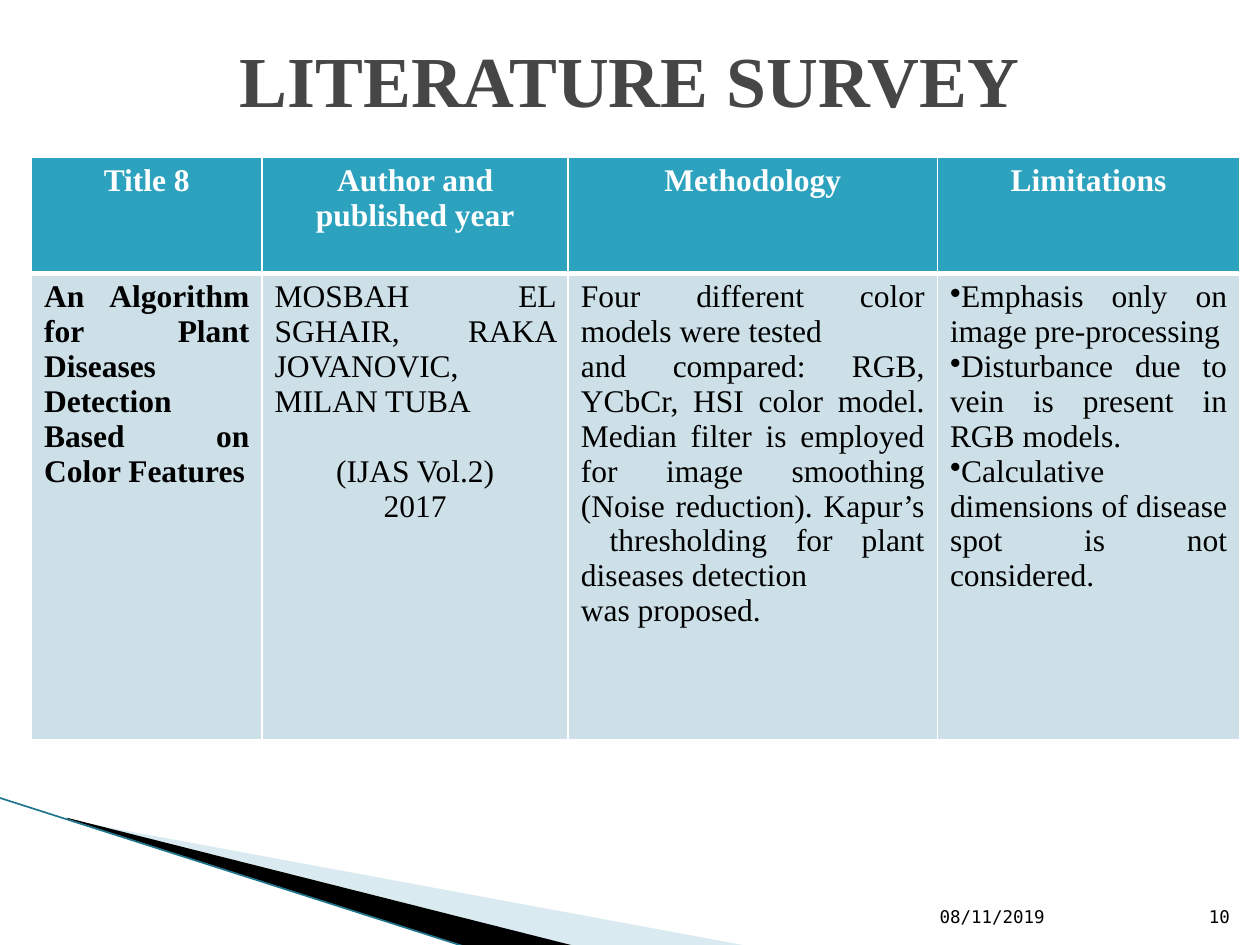
from dataclasses import dataclass

from lxml import etree
from pptx import Presentation
from pptx import util as u
from pptx.dml.color import RGBColor
from pptx.enum import shapes, text
from pptx.oxml import ns

ALIGN = text.PP_ALIGN
ANCHOR = text.MSO_ANCHOR


@dataclass(frozen=True)
class Theme:
    """Colours, fonts and type sizes of the slide."""

    white: str = "FFFFFF"
    black: str = "000000"
    heading: str = "464646"
    header_fill: str = "2DA2BF"
    body_fill: str = "CDE0E8"
    wedge: str = "A0CBDC"
    edge: str = "1F768C"
    serif: str = "Times New Roman"
    mono: str = "DejaVu Sans Mono"
    title_size: int = 41
    table_size: int = 18
    footer_size: int = 10


THEME = Theme()
HEADERS = ["Title 8", "Author and published year", "Methodology", "Limitations"]
COLUMN_WIDTHS = [1.83, 2.43, 2.93, 2.4]
ROW_HEIGHTS = [0.92, 3.7]
PAPER_TITLE = ["An Algorithm for Plant Diseases Detection", "Based on Color Features"]
AUTHORS = ["MOSBAH EL SGHAIR, RAKA JOVANOVIC, MILAN TUBA", "(IJAS Vol.2)", "2017"]
METHODOLOGY = [
    "Four different color models were tested",
    "and compared: RGB, YCbCr, HSI color model. Median filter is employed for image "
    "smoothing (Noise reduction). Kapur’s  thresholding for plant diseases detection",
    "was proposed.",
]
LIMITATIONS = [
    "Emphasis only on image pre-processing",
    "Disturbance due to vein is present in RGB models.",
    "Calculative dimensions of disease spot is not considered.",
]


def write(text_frame, lines, size, font, color, align, bold=False):
    """Fill a text frame with one paragraph per line in a single style."""
    text_frame.text = "\n".join(lines)
    for paragraph in text_frame.paragraphs:
        paragraph.alignment = align
        for run in paragraph.runs:
            run.font.size = u.Pt(size)
            run.font.name = font
            run.font.bold = bold
            run.font.color.rgb = RGBColor.from_string(color)


def add_label(slide, box, line, size, font, color, align, anchor, bold=False):
    """Add a wrapped one-line text box."""
    shape = slide.shapes.add_textbox(*map(u.Inches, box))
    shape.text_frame.word_wrap = True
    shape.text_frame.vertical_anchor = anchor
    write(shape.text_frame, [line], size, font, color, align, bold)


def add_wedge(slide, points, color, opacity=100):
    """Add a filled polygon without an outline."""
    start, *rest = [(u.Inches(x), u.Inches(y)) for x, y in points]
    builder = slide.shapes.build_freeform(*start)
    builder.add_line_segments(rest)
    shape = builder.convert_to_shape()
    shape.shadow.inherit = False
    shape.line.fill.background()
    shape.fill.solid()
    shape.fill.fore_color.rgb = RGBColor.from_string(color)
    if opacity < 100:
        for node in shape.element.spPr.iter(ns.qn("a:srgbClr")):
            etree.SubElement(node, ns.qn("a:alpha"), val=str(opacity * 1000))


def add_edge(slide, start, end, color, width):
    """Add a straight line without a shadow."""
    ends = map(u.Inches, (*start, *end))
    connector = slide.shapes.add_connector(shapes.MSO_CONNECTOR.STRAIGHT, *ends)
    connector.line.color.rgb = RGBColor.from_string(color)
    connector.line.width = u.Pt(width)
    etree.SubElement(connector.element.spPr, ns.qn("a:effectLst"))


def style_cell(cell, fill, top, bottom):
    """Give a cell white borders and a solid fill."""
    properties = cell._tc.get_or_add_tcPr()
    for side, width in (("L", 1), ("R", 1), ("T", top), ("B", bottom)):
        border = etree.SubElement(properties, ns.qn(f"a:ln{side}"), w=str(u.Pt(width)))
        solid = etree.SubElement(border, ns.qn("a:solidFill"))
        etree.SubElement(solid, ns.qn("a:srgbClr"), val=THEME.white)
    cell.fill.solid()
    cell.fill.fore_color.rgb = RGBColor.from_string(fill)


def add_bullets(text_frame):
    """Put a bullet directly before each paragraph."""
    for paragraph in text_frame.paragraphs:
        properties = paragraph._p.get_or_add_pPr()
        properties.set("marL", "0")
        properties.set("indent", "0")
        etree.SubElement(properties, ns.qn("a:buChar"), char="•")


def add_survey_table(slide):
    """Add the table with one surveyed paper."""
    frame = slide.shapes.add_table(
        2, len(HEADERS), u.Inches(0.25), u.Inches(1.25),
        u.Inches(sum(COLUMN_WIDTHS)), u.Inches(sum(ROW_HEIGHTS)))
    table = frame.table
    for row, height in zip(table.rows, ROW_HEIGHTS):
        row.height = u.Inches(height)
    bodies = [PAPER_TITLE, AUTHORS, METHODOLOGY, LIMITATIONS]
    for index, (width, header, body) in enumerate(zip(COLUMN_WIDTHS, HEADERS, bodies)):
        table.columns[index].width = u.Inches(width)
        top, bottom = table.cell(0, index), table.cell(1, index)
        style_cell(top, THEME.header_fill, 1, 3)
        style_cell(bottom, THEME.body_fill, 3, 1)
        write(top.text_frame, [header], THEME.table_size, THEME.serif,
              THEME.white, ALIGN.CENTER, True)
        write(bottom.text_frame, body, THEME.table_size, THEME.serif,
              THEME.black, ALIGN.JUSTIFY, body is PAPER_TITLE)
    journal, year = table.cell(1, 1).text_frame.paragraphs[1:]
    journal.alignment = year.alignment = ALIGN.CENTER
    journal.space_before = u.Pt(20)
    add_bullets(table.cell(1, 3).text_frame)


def main():
    """Build and save the literature survey slide."""
    presentation = Presentation()
    presentation.slide_width = u.Inches(10)
    presentation.slide_height = u.Inches(7.5)
    slide = presentation.slides.add_slide(presentation.slide_layouts[6])
    add_wedge(slide, [(0.55, 6.51), (5.95, 7.51), (4.56, 7.51), (0.55, 6.5)],
              THEME.wedge, 40)
    add_wedge(slide, [(0.53, 6.49), (4.57, 7.51), (3.72, 7.52), (0.54, 6.5)],
              THEME.black)
    add_edge(slide, (-0.01, 6.33), (3.71, 7.52), THEME.edge, 0.95)
    footer = THEME.footer_size, THEME.mono, THEME.black
    add_label(slide, (9.46, 7.01, 0.4, 0.4), "10", *footer, ALIGN.RIGHT, ANCHOR.BOTTOM)
    add_label(slide, (7.36, 7.01, 2.1, 0.4), "08/11/2019", *footer,
              ALIGN.LEFT, ANCHOR.BOTTOM)
    add_survey_table(slide)
    add_label(slide, (0.5, 0, 9, 1.25), "LITERATURE SURVEY", THEME.title_size,
              THEME.serif, THEME.heading, ALIGN.CENTER, ANCHOR.MIDDLE, True)
    presentation.save("out.pptx")


if __name__ == "__main__":
    main()
